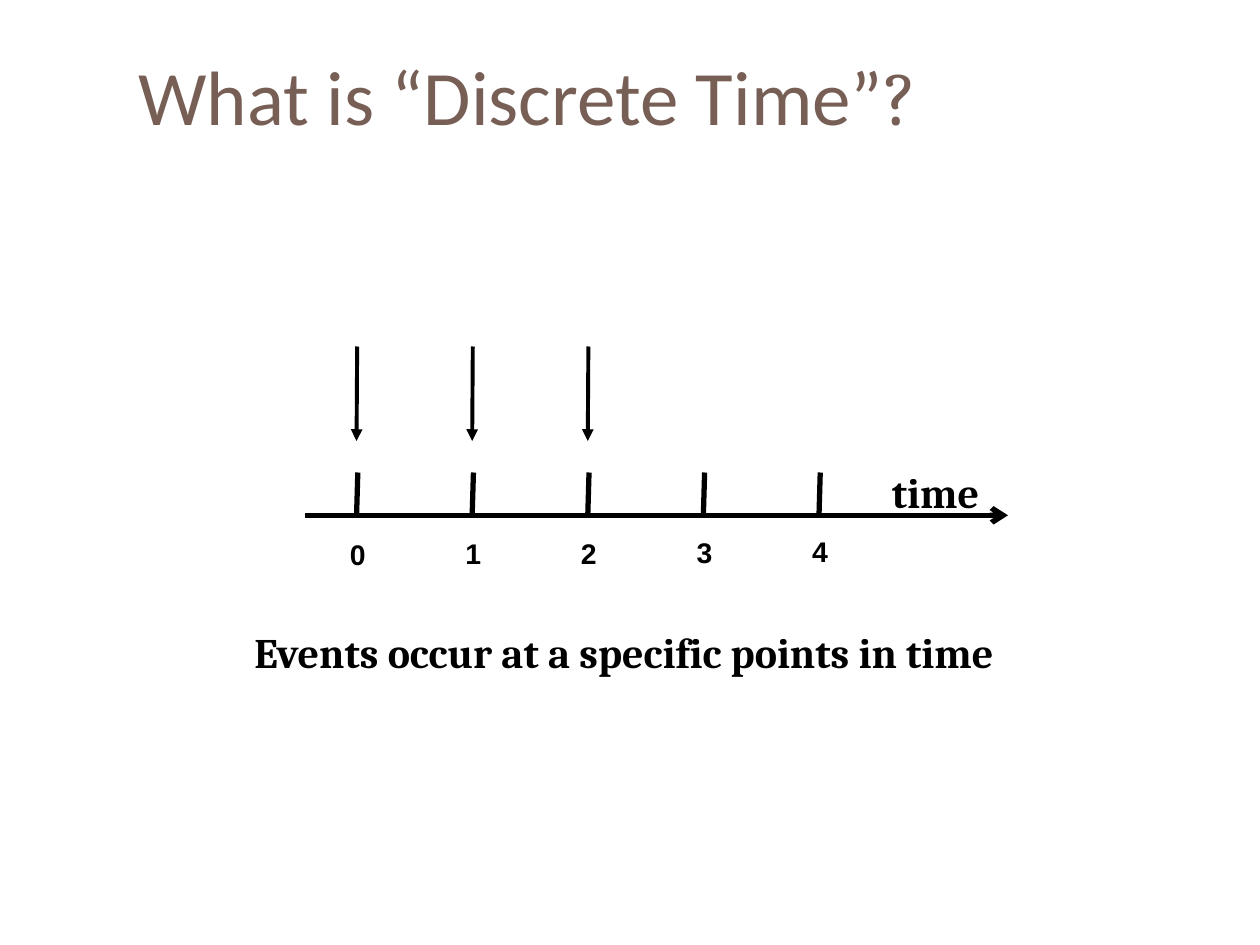
from lxml import etree
from pptx import Presentation
from pptx import util as u
from pptx.dml.color import RGBColor
from pptx.enum import shapes, text
from pptx.oxml.ns import qn

BLACK = RGBColor(0, 0, 0)
BROWN = RGBColor(0x77, 0x5F, 0x55)
COLS, ROWS = 40, 30

# Time line, in columns and rows
FIRST, STEP = 11.32, 3.67
AXIS = 16.36
TICKS, EVENTS = 5, 3


class Deck:
    """Holds the style and the current slide; lengths are grid columns and rows."""

    def __init__(self):
        self.prs = Presentation()
        self.prs.slide_width = u.Inches(10)
        self.prs.slide_height = u.Inches(7.5)
        self.slide = self.prs.slides.add_slide(self.prs.slide_layouts[6])

    def x(self, col):
        return round(self.prs.slide_width * col / COLS)

    def y(self, row):
        return round(self.prs.slide_height * row / ROWS)

    def line(self, start, end, width=3, head=None):
        link = self.slide.shapes.add_connector(
            shapes.MSO_CONNECTOR.STRAIGHT,
            self.x(start[0]), self.y(start[1]), self.x(end[0]), self.y(end[1]))
        link.line.width = u.Pt(width)
        link.line.color.rgb = BLACK
        if head:
            stroke = link.line._get_or_add_ln()
            etree.SubElement(stroke, qn("a:tailEnd"), type=head)
        etree.SubElement(link._element.spPr, qn("a:effectLst"))

    def words(self, runs, at, size=24, font="Cambria", color=BLACK,
              bold=True, wrap=False, middle=False, raised=False):
        """Add a text box; runs is a string or a list of (string, font) pairs."""
        col, row, wide, high = at
        box = self.slide.shapes.add_textbox(
            self.x(col), self.y(row), self.x(wide), self.y(high))
        frame = box.text_frame
        frame.word_wrap = wrap
        if not wrap:
            frame.auto_size = text.MSO_AUTO_SIZE.SHAPE_TO_FIT_TEXT
        if middle:
            frame.vertical_anchor = text.MSO_ANCHOR.MIDDLE
        if isinstance(runs, str):
            runs = [(runs, font)]
        for string, face in runs:
            run = frame.paragraphs[0].add_run()
            run.text = string
            run.font.name = face
            run.font.size = u.Pt(size)
            run.font.bold = bold
            run.font.color.rgb = color
            if raised:
                run._r.get_or_add_rPr().set("baseline", "30000")

    def save(self):
        self.prs.save("out.pptx")


def main():
    deck = Deck()
    deck.words([("What is “Discrete Time”", "Calibri"), ("?", "Cambria")],
               (4, 0, 36, 6), size=44, color=BROWN, bold=False,
               wrap=True, middle=True)

    deck.line((9.68, AXIS), (32, AXIS), head="arrow")
    for tick in range(TICKS):
        col = FIRST + tick * STEP
        deck.line((col + 0.04, 15), (col, AXIS))
        # The labels rise slightly from left to right
        deck.words(str(tick), (col - 0.61, 16.68 - 0.03 * tick, 1.28, 2.28),
                   size=28, font="Arial", raised=True)
        if tick < EVENTS:
            deck.line((col + 0.02, 11), (col, 14), width=2.25, head="triangle")

    deck.words("time", (27.92, 14.6, 3.56, 2))
    deck.words("Events occur at a specific points in time",
               (7.68, 19.68, 24.32, 2))
    deck.save()


if __name__ == "__main__":
    main()
